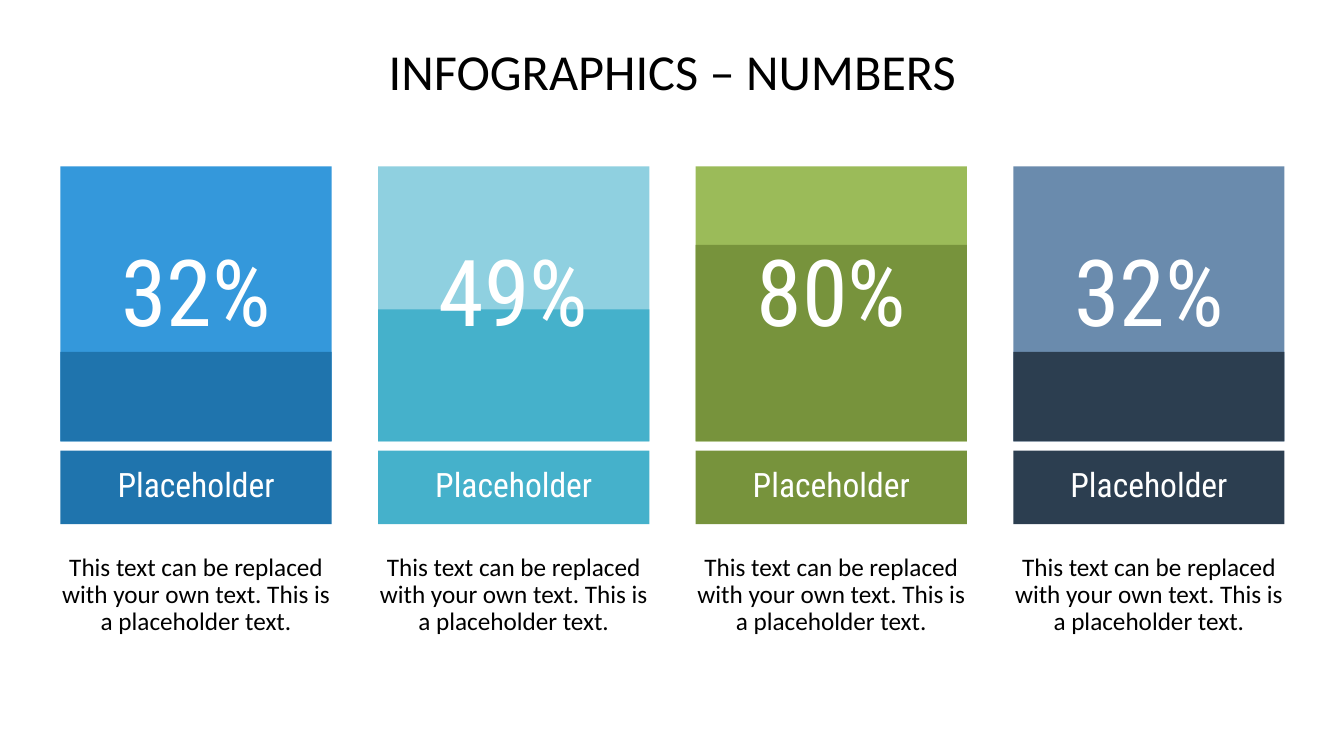
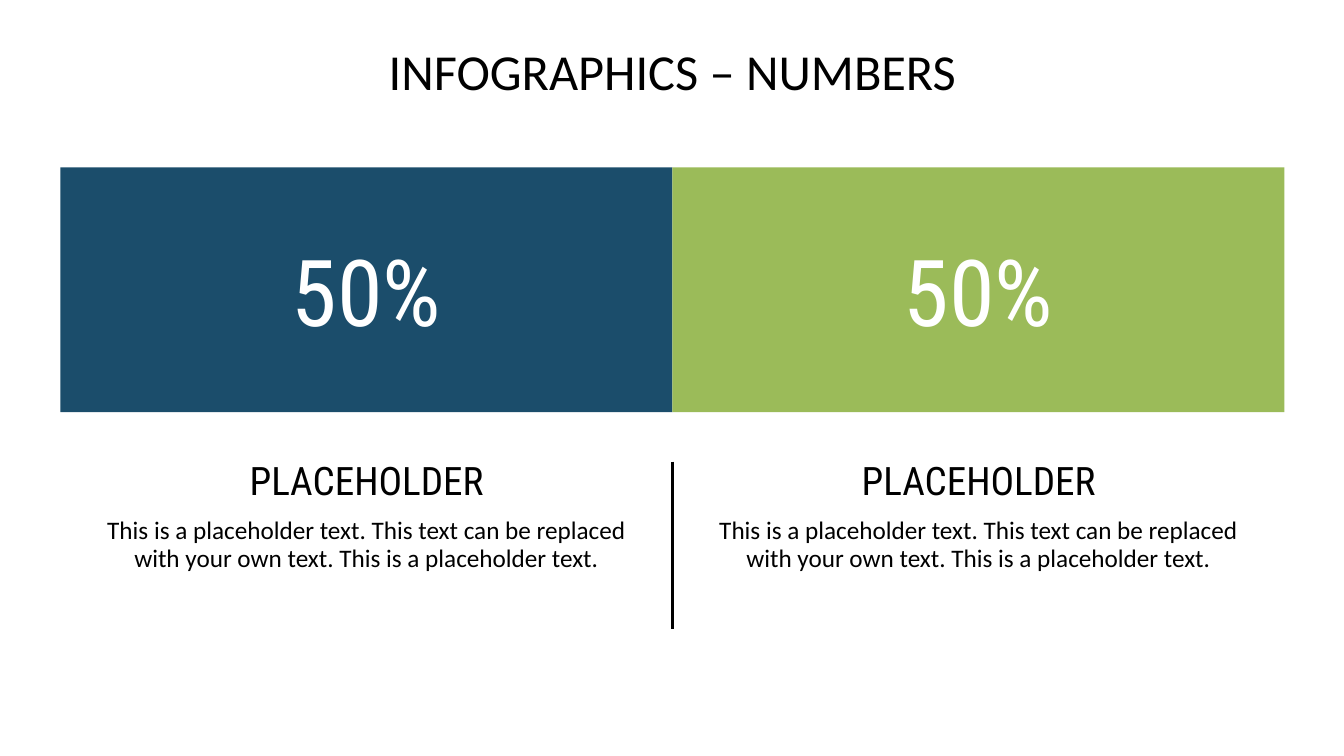
from dataclasses import dataclass

from lxml import etree
from pptx import Presentation
from pptx.dml.color import RGBColor
from pptx.enum.shapes import MSO_CONNECTOR, MSO_SHAPE
from pptx.enum.text import MSO_ANCHOR, PP_ALIGN
from pptx.oxml.ns import qn
from pptx.util import Inches, Pt

BLACK = RGBColor(0x00, 0x00, 0x00)
WHITE = RGBColor(0xFF, 0xFF, 0xFF)
SKY = RGBColor(0x34, 0x98, 0xDB)
BLUE = RGBColor(0x1F, 0x74, 0xAD)
PALE_TEAL = RGBColor(0x8F, 0xD0, 0xE0)
TEAL = RGBColor(0x45, 0xB1, 0xCB)
GREEN = RGBColor(0x9B, 0xBB, 0x59)
OLIVE = RGBColor(0x77, 0x93, 0x3C)
SLATE = RGBColor(0x6A, 0x8B, 0xAD)
NAVY = RGBColor(0x2C, 0x3E, 0x50)
DEEP_BLUE = RGBColor(0x1B, 0x4D, 0x6B)

BODY_FONT = "Calibri"
NUMBER_FONT = "Roboto Condensed"
LEFT = 0.6
CONTENT_WIDTH = 12.14
TOP = 1.65


@dataclass(frozen=True)
class Style:
    font: str
    size: float
    color: RGBColor
    line_spacing: float = 0.9
    space_after: float = 10


@dataclass(frozen=True)
class Box:
    left: float
    top: float
    width: float
    height: float

    def inches(self):
        return [Inches(v) for v in (self.left, self.top, self.width, self.height)]


@dataclass(frozen=True)
class Card:
    number: str
    light: RGBColor
    dark: RGBColor
    level: float  # height of the dark part, in inches


@dataclass(frozen=True)
class Half:
    number: str
    color: RGBColor


TITLE = Style(BODY_FONT, 36, BLACK, space_after=0)
BODY = Style(BODY_FONT, 18, BLACK)
HEADING = Style(NUMBER_FONT, 28, BLACK)
LABEL = Style(NUMBER_FONT, 24, WHITE, 0.8)
CARD_NUMBER = Style(NUMBER_FONT, 66, WHITE, 0.8)
HALF_NUMBER = Style(NUMBER_FONT, 66, WHITE, 1.0, 0)

CARDS = [
    Card("32%", SKY, BLUE, 0.89),
    Card("49%", PALE_TEAL, TEAL, 1.31),
    Card("80%", GREEN, OLIVE, 1.95),
    Card("32%", SLATE, NAVY, 0.89),
]
HALVES = [Half("50%", DEEP_BLUE), Half("50%", GREEN)]


def write(shape, lines: list[tuple[str, Style]], anchor=MSO_ANCHOR.TOP,
          insets=(0, 0, 0, 0)) -> None:
    """Fill a shape with centred paragraphs; insets are left, top, right, bottom."""
    tf = shape.text_frame
    tf.word_wrap = True
    tf.vertical_anchor = anchor
    tf.margin_left, tf.margin_top, tf.margin_right, tf.margin_bottom = map(Inches, insets)
    for i, (text, style) in enumerate(lines):
        p = tf.add_paragraph() if i else tf.paragraphs[0]
        p.text = text
        p.alignment = PP_ALIGN.CENTER
        p.line_spacing = style.line_spacing
        p.space_before = Pt(0)
        p.space_after = Pt(style.space_after)
        p.font.name = style.font
        p.font.size = Pt(style.size)
        p.font.color.rgb = style.color


def add_text(s, box: Box, lines: list[tuple[str, Style]], **frame):
    write(s.shapes.add_textbox(*box.inches()), lines, **frame)


def add_rect(s, box: Box, color: RGBColor):
    sp = s.shapes.add_shape(MSO_SHAPE.RECTANGLE, *box.inches())
    sp.shadow.inherit = False
    sp.fill.solid()
    sp.fill.fore_color.rgb = color
    sp.line.fill.background()
    return sp


def add_divider(s, x: float, top: float, bottom: float) -> None:
    line = s.shapes.add_connector(
        MSO_CONNECTOR.STRAIGHT, Inches(x), Inches(top), Inches(x), Inches(bottom))
    line.line.color.rgb = BLACK
    line.line.width = Pt(1.5)
    etree.SubElement(line._element.spPr, qn("a:effectLst"))


def add_titled_slide(prs):
    s = prs.slides.add_slide(prs.slide_layouts[6])
    add_text(s, Box(LEFT, 0.47, CONTENT_WIDTH, 1.18), [("INFOGRAPHICS – NUMBERS", TITLE)])
    return s


def add_card(s, card: Card, left: float, width: float) -> None:
    height = 2.73
    square = Box(left, TOP, width, height)
    add_rect(s, square, card.light)
    add_rect(s, Box(left, TOP + height - card.level, width, card.level), card.dark)
    add_text(s, square, [(card.number, CARD_NUMBER)],
             anchor=MSO_ANCHOR.MIDDLE, insets=(0.08, 0.08, 0.08, 0.16))
    label = add_rect(s, Box(left, 4.47, width, 0.73), card.dark)
    write(label, [("Placeholder", LABEL)], anchor=MSO_ANCHOR.MIDDLE)
    add_text(s, Box(left, 5.5, width, 0.86), [
        ("This text can be replaced with your own text. This is a placeholder text.", BODY)])


def build_cards_slide(prs) -> None:
    s = add_titled_slide(prs)
    width = 2.69
    pitch = (CONTENT_WIDTH - width) / (len(CARDS) - 1)
    for i, card in enumerate(CARDS):
        add_card(s, card, LEFT + i * pitch, width)


def build_halves_slide(prs) -> None:
    s = add_titled_slide(prs)
    width = CONTENT_WIDTH / len(HALVES)
    text_top = 4.58
    for i, half in enumerate(HALVES):
        left = LEFT + i * width
        panel = add_rect(s, Box(left, TOP + 0.01, width, 2.43), half.color)
        write(panel, [(half.number, HALF_NUMBER)],
              anchor=MSO_ANCHOR.MIDDLE, insets=(0.1, 0.05, 0.1, 0.05))
        add_text(s, Box(left, text_top, width, 1.78), [
            ("PLACEHOLDER", HEADING),
            ("This is a placeholder text. This text can be replaced\v"
             "with your own text. This is a placeholder text.", BODY),
        ], insets=(0.2, 0, 0.2, 0))
    add_divider(s, LEFT + width, text_top, 6.24)


def main() -> None:
    prs = Presentation()
    prs.slide_width = Inches(13.33)
    prs.slide_height = Inches(7.5)
    build_cards_slide(prs)
    build_halves_slide(prs)
    prs.save("out.pptx")


if __name__ == "__main__":
    main()
